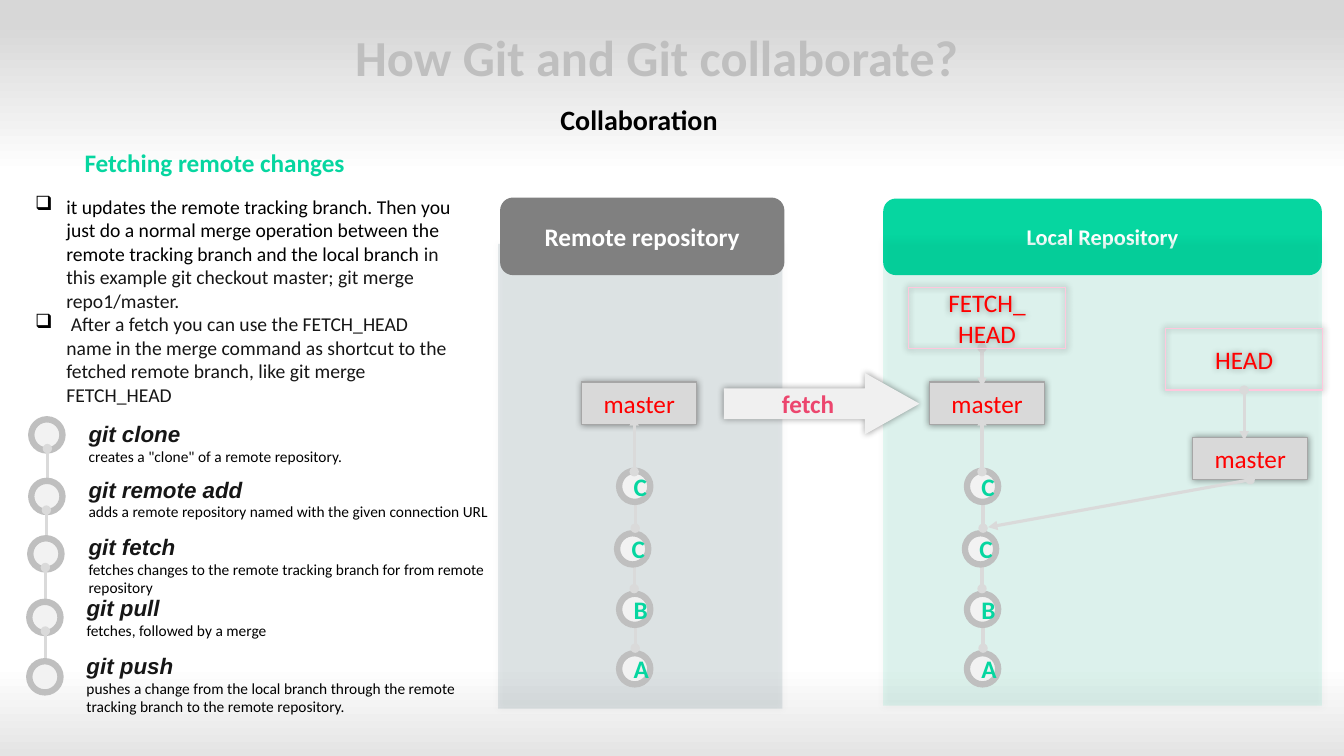
import pptx
import pptx.dml.color
import pptx.enum.shapes
import pptx.enum.text
import pptx.oxml
import pptx.oxml.ns
import pptx.util

Inches, Pt = pptx.util.Inches, pptx.util.Pt
RGB = pptx.dml.color.RGBColor.from_string
SHAPE = pptx.enum.shapes.MSO_SHAPE
ALIGN = pptx.enum.text.PP_ALIGN
qn = pptx.oxml.ns.qn
NS = pptx.oxml.ns.nsdecls("a")

THEME = {
    "background": [(3, "D7D7D7"), (23, "FFFFFF"), (88, "FFFFFF"), (100, "E4E4E4")],
    "remote": "808080", "remote panel": "073B4C",
    "local": "06D6A0", "local panel": "06D6A0",
    "node": "F2F2F2", "ring": "BFBFBF", "link": "DADADA", "arrow": "F0F0F0",
    "branch": "D9D9D9", "branch edge": "A6A6A6", "head edge": "FFC8DD",
    "ink": "000000", "soft ink": "161616",
    # style: size, colour, bold, italic, font
    "styles": {
        "title": (36, "BFBFBF", True, False, "Calibri"),
        "subtitle": (20, "000000", True, False, "Calibri"),
        "topic": (18, "06D6A0", True, False, "Calibri"),
        "body": (14, "000000", False, False, "Calibri"),
        "remote": (18, "FFFFFF", True, False, "Calibri"),
        "local": (16, "FFFFFF", True, False, "Calibri"),
        "commit": (18, "06D6A0", True, False, "Calibri"),
        "ref": (18, "FF0000", False, False, "Calibri"),
        "fetch": (18, "EC466E", True, False, "Calibri"),
        "command": (16, "161616", True, True, "Arial"),
        "detail": (11, "000000", False, False, "Calibri"),
    },
}

prs = pptx.Presentation()
prs.slide_width, prs.slide_height = Inches(13.33), Inches(7.5)
s = prs.slides.add_slide(prs.slide_layouts[6])


def put(kind, box, paras=(), fill=None, line=None, width=1, alpha=None, shadow=False):
    """Add a shape, or a text box when kind is None; paras holds (text, style) pairs."""
    box = [Inches(v) for v in box]
    if kind is None:
        sp = s.shapes.add_textbox(*box)
        sp.text_frame.word_wrap = True
        sp.text_frame.auto_size = pptx.enum.text.MSO_AUTO_SIZE.SHAPE_TO_FIT_TEXT
    else:
        sp = s.shapes.add_shape(kind, *box)
        sp.shadow.inherit = False
        if fill:
            sp.fill.solid()
            sp.fill.fore_color.rgb = RGB(fill)
        else:
            sp.fill.background()
        if line:
            sp.line.color.rgb = RGB(line)
            sp.line.width = Pt(width)
        else:
            sp.line.fill.background()
    spPr = sp._element.spPr
    if alpha:
        color = spPr.find(qn("a:solidFill")).find(qn("a:srgbClr"))
        color.append(pptx.oxml.parse_xml(f'<a:alpha {NS} val="{alpha * 1000}"/>'))
    if shadow:
        spPr.find(qn("a:effectLst")).append(pptx.oxml.parse_xml(
            f'<a:outerShdw {NS} blurRad="{Pt(5)}" dist="0" dir="0" algn="ctr" rotWithShape="0">'
            '<a:srgbClr val="000000"><a:alpha val="40000"/></a:srgbClr></a:outerShdw>'))
    if paras:
        sp.text_frame.text = "\n".join(text for text, _ in paras)
        for p, (_, style) in zip(sp.text_frame.paragraphs, paras):
            p.alignment = ALIGN.LEFT if kind is None else ALIGN.CENTER
            font = p.runs[0].font
            size, color, font.bold, font.italic, font.name = THEME["styles"][style]
            font.size = Pt(size)
            font.color.rgb = RGB(color)
    return sp


def link(x1, y1, x2, y2, tail="triangle"):
    """Add a connector with a dot at its start."""
    c = s.shapes.add_connector(pptx.enum.shapes.MSO_CONNECTOR.STRAIGHT,
                               Inches(x1), Inches(y1), Inches(x2), Inches(y2))
    c.line.color.rgb = RGB(THEME["link"])
    c.line.width = Pt(2.25)
    ln = c.line._get_or_add_ln()
    ln.append(pptx.oxml.parse_xml(f'<a:headEnd {NS} type="oval"/>'))
    ln.append(pptx.oxml.parse_xml(f'<a:tailEnd {NS} type="{tail}"/>'))
    c._element.spPr.append(pptx.oxml.parse_xml(f"<a:effectLst {NS}/>"))
    return c


# Background gradient, top to bottom
s.background.fill.gradient()
grad = next(s._element.iter(qn("a:gradFill")))
stops = grad.find(qn("a:gsLst"))
for stop in list(stops):
    stops.remove(stop)
for pos, color in THEME["background"]:
    stops.append(pptx.oxml.parse_xml(
        f'<a:gs {NS} pos="{pos * 1000}"><a:srgbClr val="{color}"/></a:gs>'))
grad.find(qn("a:lin")).set("ang", "5400000")

# Headings
title = put(None, (1.22, 0.21, 10.59, 0.71), [("How Git and Git collaborate?", "title")])
p = title.text_frame.paragraphs[0]
p.alignment = ALIGN.CENTER
p.runs[0].font._element.insert(0, pptx.oxml.parse_xml(
    f'<a:ln {NS} w="{Pt(0.75)}"><a:solidFill><a:srgbClr val="{THEME["link"]}"/></a:solidFill></a:ln>'))
put(None, (5.46, 0.97, 1.81, 0.44), [("Collaboration", "subtitle")])
topic = put(None, (0.24, 1.34, 4.59, 0.45), [("Fetching remote changes", "topic")])
p = topic.text_frame.paragraphs[0]
p.line_spacing = 1.25
p.space_after = Pt(8)
p._p.get_or_add_pPr().set("marL", str(Inches(0.5)))

# Bulleted explanation: each bullet changes ink partway
bullets = [
    ("it updates the remote tracking branch. Then you just do a normal merge operation "
     "between the remote tracking branch and the local branch ",
     "in this example git checkout master; git merge repo1/master."),
    (" ",
     "After a fetch you can use the FETCH_HEAD name in the merge command as shortcut "
     "to the fetched remote branch, like git merge FETCH_HEAD"),
]
notes = put(None, (0.25, 1.88, 4.38, 2.22), [(first, "body") for first, _ in bullets])
for p, (_, rest) in zip(notes.text_frame.paragraphs, bullets):
    pPr = p._p.get_or_add_pPr()
    pPr.set("marL", str(Inches(0.31)))
    pPr.set("indent", str(-Inches(0.31)))
    pPr.append(pptx.oxml.parse_xml(f'<a:buChar {NS} char="❑"/>'))
    r = p.add_run()
    r.text = rest
    r.font.size = Pt(THEME["styles"]["body"][0])
    r.font.name = THEME["styles"]["body"][4]
    r.font.color.rgb = RGB(THEME["soft ink"])

# Repository panels and their headers
put(SHAPE.RECTANGLE, (4.94, 2.42, 2.82, 4.61), fill=THEME["remote panel"], alpha=10, shadow=True)
put(SHAPE.ROUNDED_RECTANGLE, (8.76, 1.97, 4.35, 0.76), [("Local Repository", "local")],
    fill=THEME["local"])
put(SHAPE.RECTANGLE, (8.76, 2.39, 4.35, 4.61), fill=THEME["local panel"], alpha=10, shadow=True)
put(SHAPE.ROUNDED_RECTANGLE, (4.96, 1.96, 2.82, 0.77), [("Remote repository", "remote")],
    fill=THEME["remote"])

# Fetch arrow
arrow = put(SHAPE.RIGHT_ARROW, (7.18, 3.7, 1.94, 0.61), [("fetch", "fetch")],
            fill=THEME["arrow"], shadow=True)
arrow.adjustments[1] = 0.89

# Commit chains, oldest commit at the bottom
NODE = 0.31
branch_look = dict(fill=THEME["branch"], line=THEME["branch edge"], shadow=True)
node_look = dict(fill=THEME["node"], line=THEME["ring"], width=4.5)
commits = [("A", 6.48, 0), ("B", 5.89, 0), ("C", 5.29, -0.02), ("C", 4.67, 0)]
for x in (6.3, 9.75):
    older = None
    for label, top, shift in commits:
        if older:
            link(x + shift / 2, older - 0.05, x + shift / 2, top + 0.2)
        put(SHAPE.OVAL, (x - 0.16 + shift, top, NODE, NODE), [(label, "commit")], **node_look)
        older = top
    put(SHAPE.RECTANGLE, (x - 0.53, 3.79, 1.14, 0.42), [("master", "ref")], **branch_look)
    link(x - 0.01, 4.68, x - 0.01, 4.13)

# Heads in the local repository
head_look = dict(line=THEME["head edge"], shadow=True)
link(9.74, 3.45, 9.74, 3.84)
put(SHAPE.RECTANGLE, (9.01, 2.85, 1.56, 0.61), [("FETCH_", "ref"), ("HEAD", "ref")], **head_look)
master = put(SHAPE.RECTANGLE, (11.83, 4.34, 1.14, 0.42), [("master", "ref")], **branch_look)
head = put(SHAPE.RECTANGLE, (11.56, 3.26, 1.56, 0.61), [("HEAD", "ref")], **head_look)
link(12.34, 3.87, 12.34, 4.37).begin_connect(head, 2)
link(12.4, 4.76, 9.8, 5.23).begin_connect(master, 2)

# Command list: node left and top, text box, command, detail
commands = [
    (0.31, 4.16, (0.78, 4.12, 4.61, 0.56), "git clone",
     'creates a "clone" of a remote repository.'),
    (0.31, 4.77, (0.78, 4.67, 4.42, 0.56), "git remote add",
     "adds a remote repository named with the given connection URL"),
    (0.3, 5.34, (0.78, 5.24, 4.61, 0.61), "git fetch",
     "fetches changes to the remote tracking branch for from remote repository"),
    (0.29, 5.97, (0.76, 5.85, 4.61, 0.56), "git pull",
     "fetches, followed by a merge"),
    (0.29, 6.56, (0.76, 6.42, 4.07, 0.74), "git push",
     "pushes a change from the local branch through the remote tracking branch "
     "to the remote repository."),
]
above = None
for left, top, box, command, detail in commands:
    if above:
        link(left + 0.16, top + 0.09, left + 0.16, above + 0.29, tail="oval")
    put(SHAPE.OVAL, (left, top, NODE, NODE), **node_look)
    put(None, box, [(command, "command"), (detail, "detail")])
    above = top

prs.save("out.pptx")
